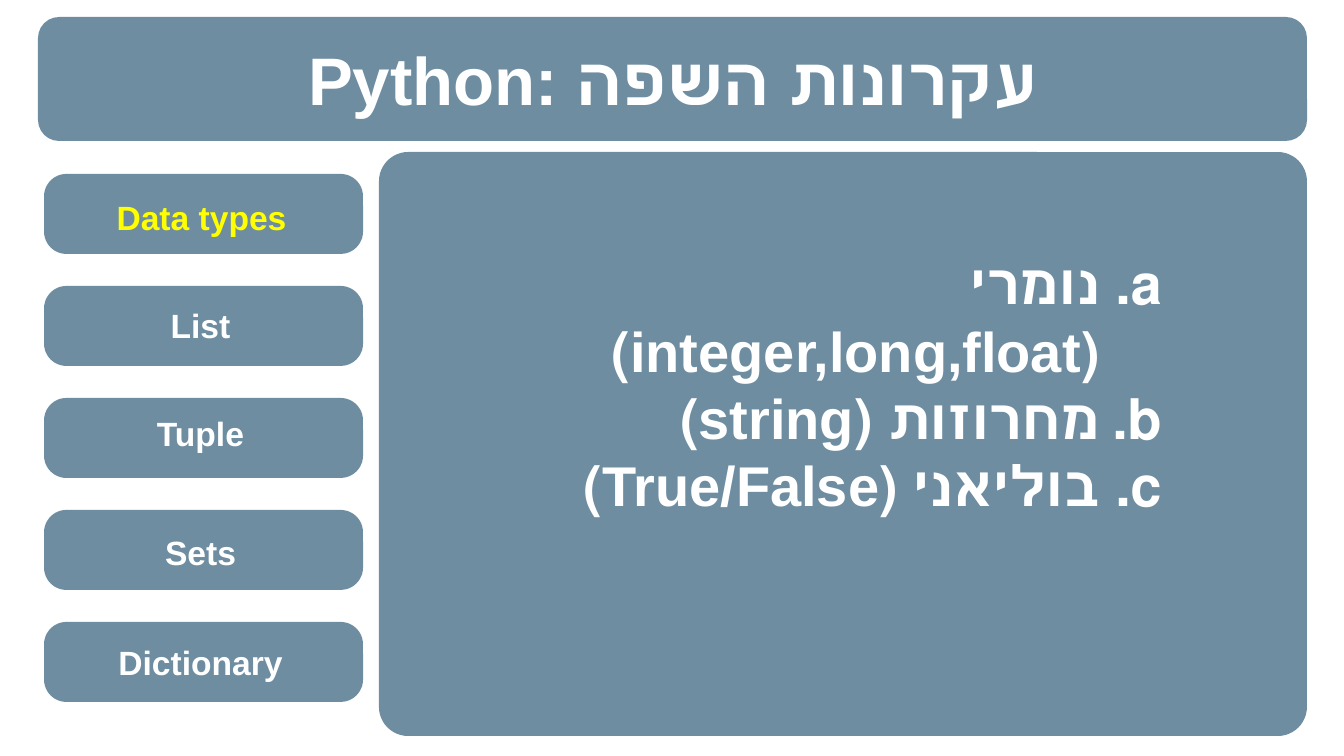
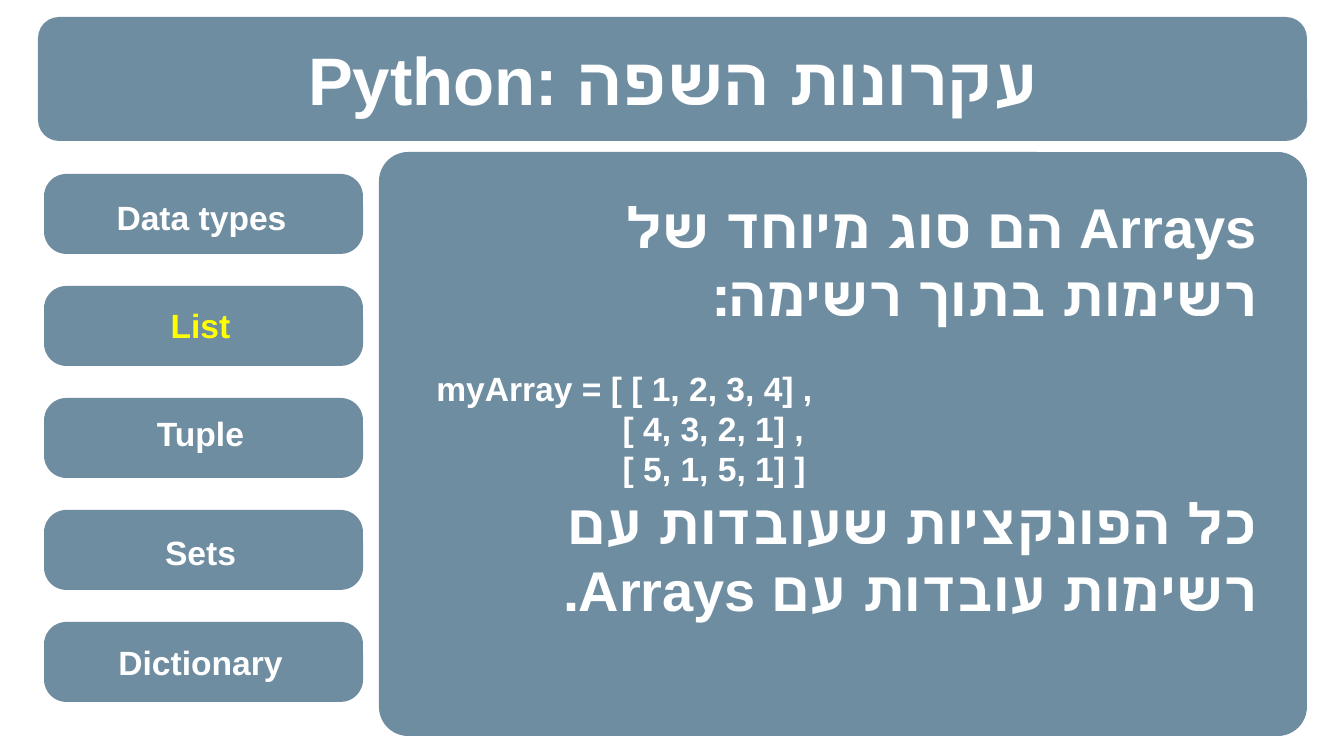
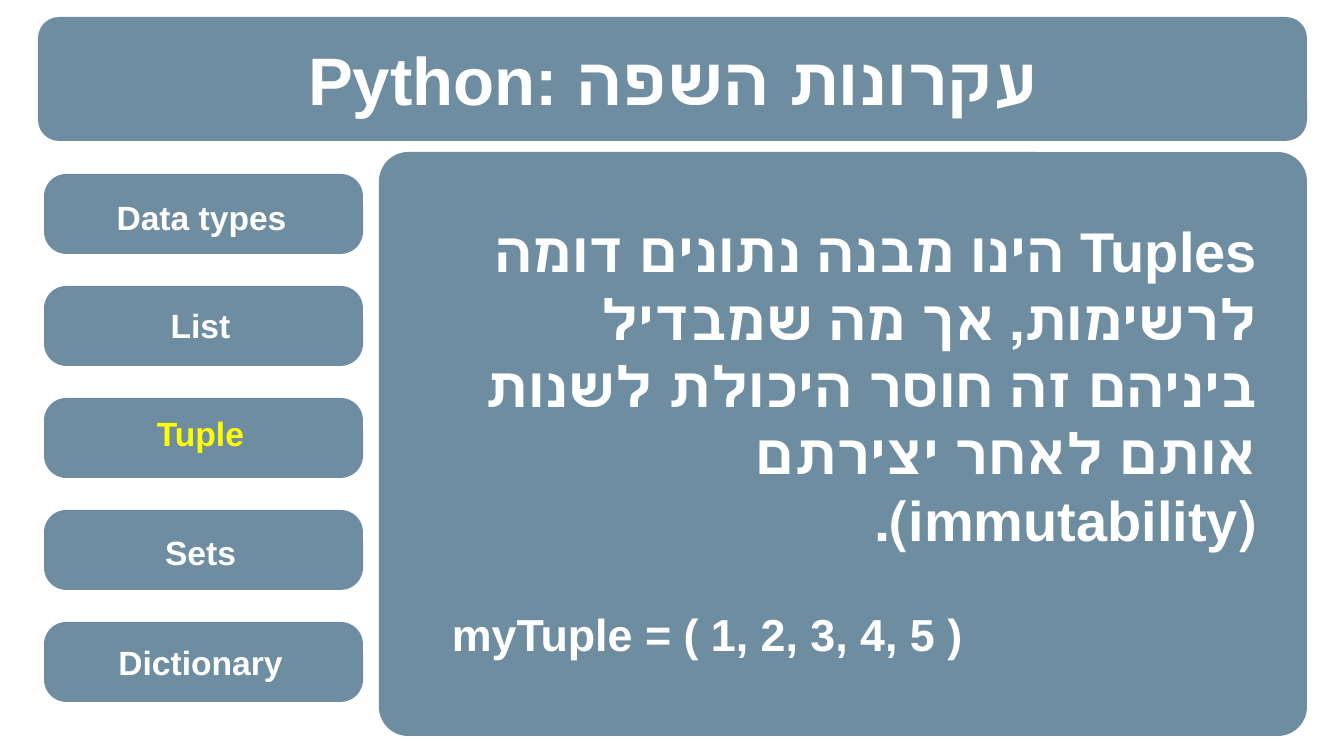
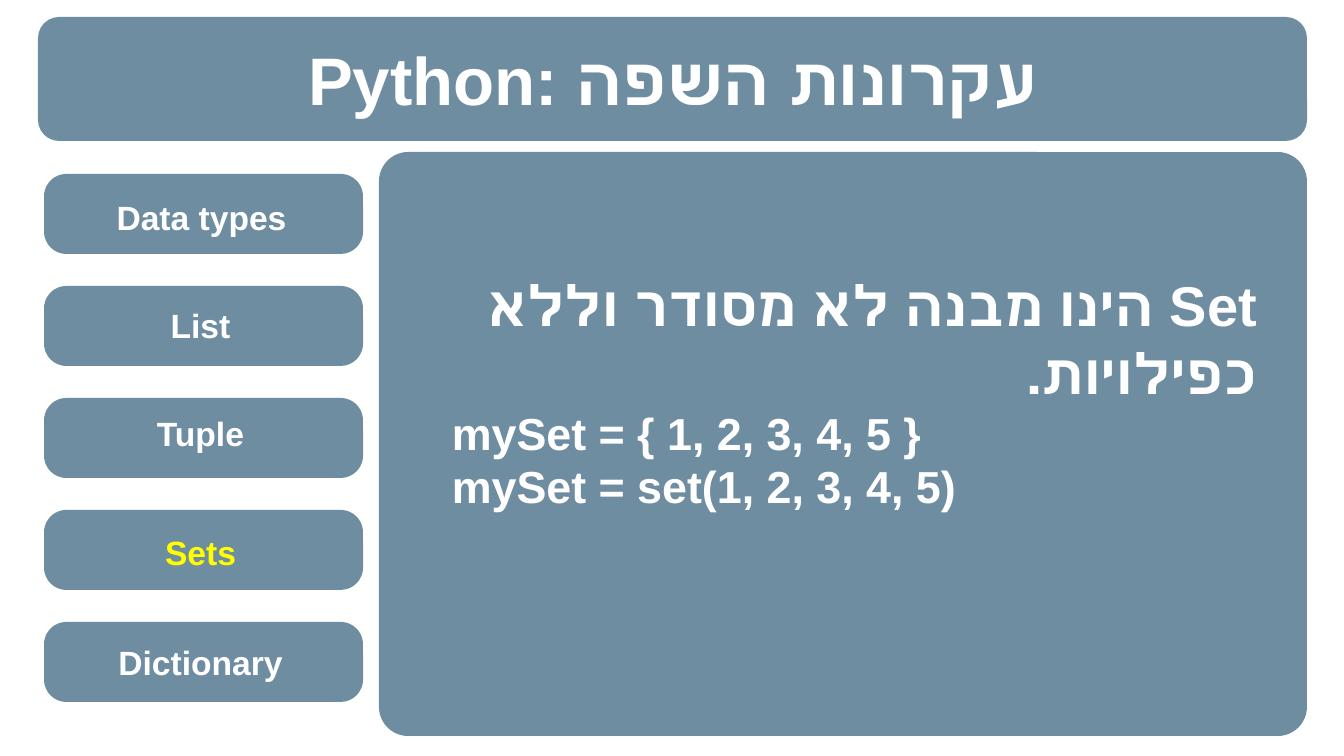
import dataclasses

import lxml.etree
import pptx
import pptx.dml.color
import pptx.enum.shapes
import pptx.enum.text
import pptx.oxml.ns
import pptx.util

SCALE = 914400 / 134.4  # EMU in one px
ALIGN = pptx.enum.text.PP_ALIGN
qn = pptx.oxml.ns.qn


@dataclasses.dataclass(frozen=True)
class Theme:
    font: str = "Arial"
    band: str = "215170"
    alpha: int = 65
    text: str = "FFFFFF"
    mark: str = "FFFF00"
    head: int = 36
    body: int = 30
    code: int = 24
    small: int = 18
    lead: float = 1.2  # line height over type size


THEME = Theme()
HEAD = (38, 17, 1269, 124)
PANEL = (379, 152, 928, 584)
MENU = (44, 174, 319, 80)
STEP = 112
# Menu names, each with the shift of its label to the right and down
TOPICS = [("Data types", 1, 1), ("List", 0, -3), ("Tuple", 0, -7),
          ("Sets", 0, 0), ("Dictionary", 0, -2)]


def emu(*sizes):
    return [pptx.util.Emu(round(size * SCALE)) for size in sizes]


def rgb(code):
    return pptx.dml.color.RGBColor.from_string(code)


def put(item, values):
    for name, value in values.items():
        setattr(item, name, value)


def node(parent, tag, **attrs):
    return lxml.etree.SubElement(parent, qn(tag), attrs)


def band(slide, box, curve):
    """Rounded, see-through block."""
    kind = pptx.enum.shapes.MSO_SHAPE.ROUNDED_RECTANGLE
    shape = slide.shapes.add_shape(kind, *emu(*box))
    shape.adjustments[0] = curve
    shape.shadow.inherit = False
    shape.fill.solid()
    shape.fill.fore_color.rgb = rgb(THEME.band)
    color = shape.element.spPr.find(".//" + qn("a:srgbClr"))
    node(color, "a:alpha", val=str(THEME.alpha * 1000))
    shape.line.fill.background()
    return shape


def frame(slide, box, middle=False):
    """Empty text box without margins."""
    text = slide.shapes.add_textbox(*emu(*box)).text_frame
    anchor = pptx.enum.text.MSO_ANCHOR
    put(text, dict.fromkeys(("margin_left", "margin_top",
                             "margin_right", "margin_bottom"), 0))
    put(text, {"word_wrap": True,
               "vertical_anchor": anchor.MIDDLE if middle else anchor.TOP})
    return text


def write(para, words, size, align, color=THEME.text, gap=0):
    put(para, {"alignment": align, "space_before": pptx.util.Pt(gap),
               "line_spacing": pptx.util.Pt(size * THEME.lead)})
    run = para.add_run()
    run.text = words
    put(run.font, {"name": THEME.font, "size": pptx.util.Pt(size), "bold": True})
    run.font.color.rgb = rgb(color)


def number(props):
    """Lettered list level, indented from the right."""
    hang, left = emu(62, 134)
    values = {"marL": left, "marR": 0, "indent": -hang, "lvl": 1}
    for name, value in values.items():
        props.set(name, str(value))
    node(node(props, "a:buClr"), "a:srgbClr", val=THEME.text)
    node(props, "a:buSzPct", val="100000")
    node(props, "a:buFont", typeface=THEME.font)
    node(props, "a:buAutoNum", type="alphaLcPeriod")


def base(slide, layout):
    """Move the shared blocks into the layout."""
    left, top, wide, high = MENU
    blocks = [band(slide, HEAD, 0.17), band(slide, PANEL, 0.05)]
    blocks += [band(slide, (left, top + row * STEP, wide, high), 0.28)
               for row in range(len(TOPICS))]
    for holder in list(layout.placeholders):
        layout.shapes.element.remove(holder.element)
    for block in blocks:
        layout.shapes.element.append(block.element)


def title(slide, box):
    left, top, wide, high = box
    text = frame(slide, (left + 6, top + 21, wide - 12, 81), True)
    write(text.paragraphs[0], "Python: עקרונות השפה", THEME.head, ALIGN.CENTER)


def menu(slide, box, topic):
    left, top, wide, high = box
    for row, (name, right, down) in enumerate(TOPICS):
        spot = (left - 4 + right, top + row * STEP + down, wide + 2, high + 5)
        color = THEME.mark if name == topic else THEME.text
        para = frame(slide, spot, True).paragraphs[0]
        write(para, name, THEME.small, ALIGN.CENTER, color)


def panel(slide, box, inset, parts):
    """Body text; inset gives the left, top and right margins in the box."""
    left, top, wide, high = box
    west, north, east = inset
    text = frame(slide, (left + west, top + north,
                         wide - west - east, high - north - 17))
    for row, (kind, words, size, gap) in enumerate(parts):
        para = text.add_paragraph() if row else text.paragraphs[0]
        props = para._p.get_or_add_pPr()
        if kind != "code":
            props.set("rtl", "1")
        if kind == "item":
            number(props)
        align = ALIGN.LEFT if kind == "code" else ALIGN.RIGHT
        write(para, words, size, align, gap=gap)


def prose(words, gap=0):
    return "prose", words, THEME.body, gap


def item(words):
    return "item", words, THEME.body, 0


def code(words, size=THEME.code, gap=0):
    return "code", words, size, gap


# Topic, panel margins and panel text of each slide
PAGES = [
    ("Data types", (97, 97, 73), [
        item("נומרי (integer,long,float)"),
        item("מחרוזות (string)"),
        item("בוליאני (True/False)")]),
    ("List", (48, 41, 50), [
        prose("Arrays הם סוג מיוחד של רשימות בתוך רשימה:"),
        code(" myArray = [ [ 1, 2, 3, 4] ,", THEME.small,
             THEME.small * THEME.lead),
        code("                     [ 4, 3, 2, 1] ,", THEME.small),
        code("                     [ 5, 1, 5, 1] ]", THEME.small),
        prose("כל הפונקציות שעובדות עם רשימות עובדות עם Arrays.")]),
    ("Tuple", (48, 65, 50), [
        prose("Tuples הינו מבנה נתונים דומה לרשימות, אך מה שמבדיל ביניהם "
              "זה חוסר היכולת לשנות אותם לאחר יצירתם (immutability)."),
        code("  myTuple = ( 1, 2, 3, 4, 5 )", gap=THEME.code * THEME.lead)]),
    ("Sets", (48, 119, 50), [
        prose("Set הינו מבנה לא מסודר וללא כפילויות."),
        code("  mySet = { 1, 2, 3, 4, 5 }"),
        code("  mySet = set(1, 2, 3, 4, 5)")]),
]


def main():
    deck = pptx.Presentation()
    wide, high = emu(1344, 756)
    put(deck, {"slide_width": wide, "slide_height": high})
    blank = deck.slide_layouts[6]
    for page, (topic, inset, parts) in enumerate(PAGES):
        slide = deck.slides.add_slide(blank)
        if page == 0:
            base(slide, blank)
        title(slide, HEAD)
        panel(slide, PANEL, inset, parts)
        menu(slide, MENU, topic)
    deck.save("out.pptx")


if __name__ == "__main__":
    main()
